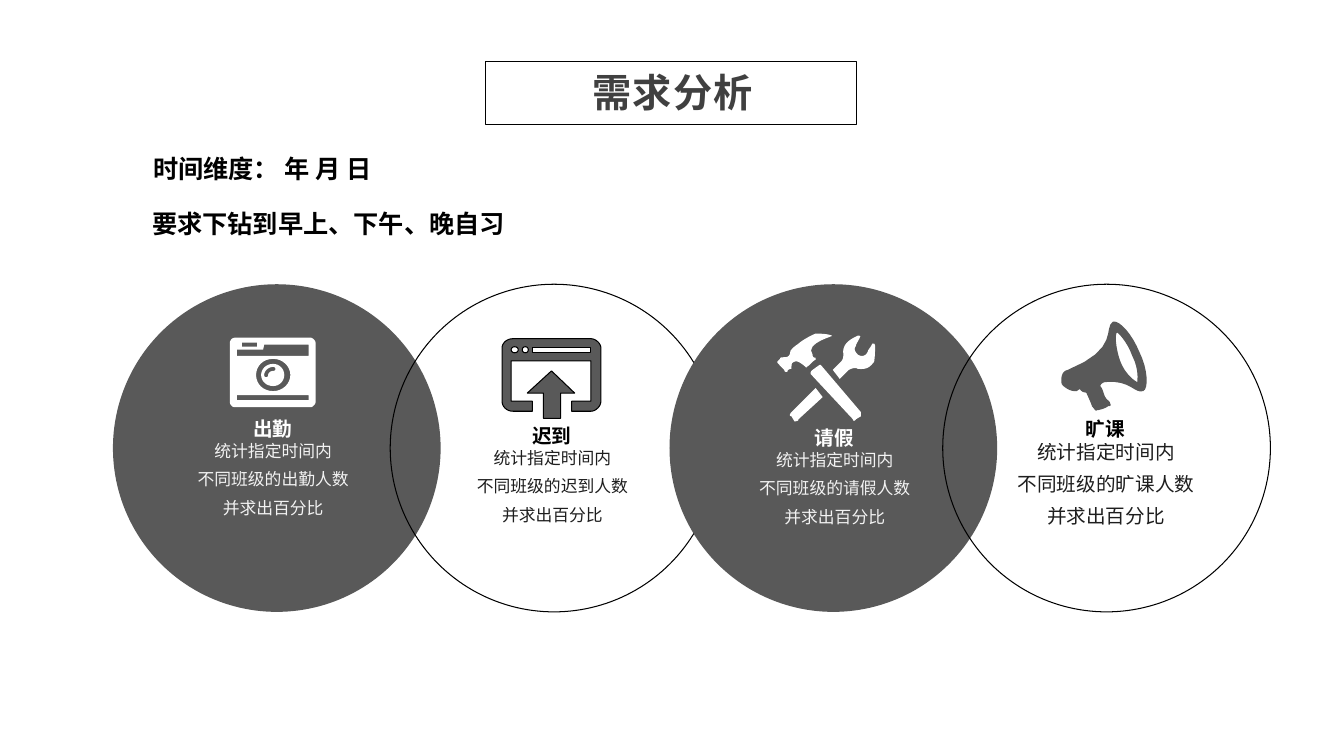
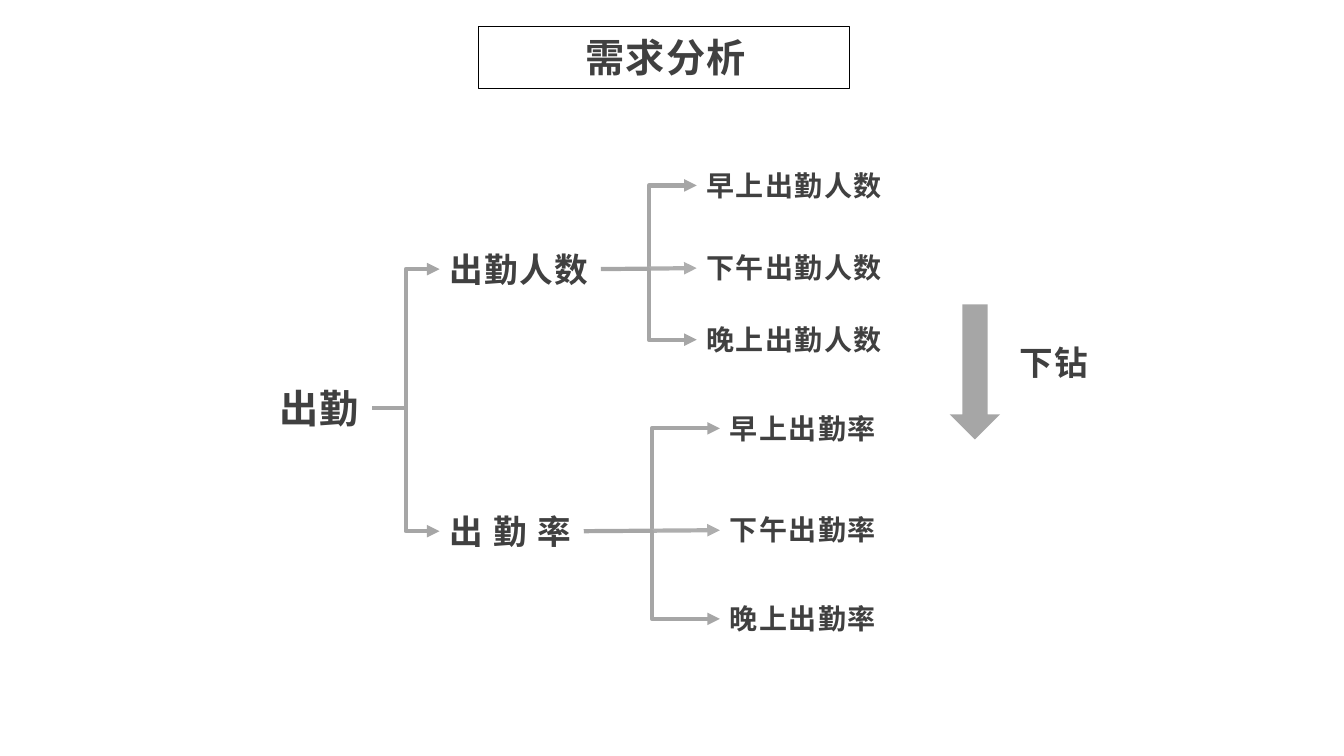
from lxml import etree
from pptx import Presentation
from pptx.dml.color import RGBColor
from pptx.enum.shapes import MSO_CONNECTOR, MSO_SHAPE
from pptx.enum.text import MSO_AUTO_SIZE, PP_ALIGN
from pptx.oxml.ns import qn
from pptx.util import Pt

PX = 9144  # 100 px to the inch
COLORS = {
    "title": "404040",
    "dark": "595959",
    "white": "FFFFFF",
    "black": "000000",
    "body": "0D0D0D",
    "branch": "A6A6A6",
    "middle_branch": "AEAEAE",
}
RGB = {name: RGBColor.from_string(value) for name, value in COLORS.items()}
LATIN, CJK = "Calibri", "Noto Sans CJK SC"
CENTER, LEFT = PP_ALIGN.CENTER, PP_ALIGN.LEFT
RECTANGLE, OVAL, DOWN_ARROW = MSO_SHAPE.RECTANGLE, MSO_SHAPE.OVAL, MSO_SHAPE.DOWN_ARROW
ELBOW, STRAIGHT = MSO_CONNECTOR.ELBOW, MSO_CONNECTOR.STRAIGHT
LEFT_SIDE, RIGHT_SIDE = 1, 3

# Icon outlines: a pair is a straight step, six numbers are a Bezier step.
CAMERA = [
    [(308, 335), (310, 335, 313, 338, 313, 340), (313, 399),
     (313, 401, 310, 404, 308, 404), (233, 404), (230, 404, 228, 401, 228, 399),
     (228, 340), (228, 338, 230, 335, 233, 335)],
    [(306, 342), (262, 342), (261, 347), (235, 347), (235, 353), (306, 353)],
    [(306, 392), (235, 392), (235, 397), (306, 397)],
    [(240, 344), (255, 344), (255, 340), (240, 340)],
    [(254, 372), (254, 363, 261, 356, 271, 356), (280, 356, 288, 363, 288, 372),
     (288, 381, 280, 388, 271, 388), (261, 388, 254, 381, 254, 372)],
    [(259, 372), (259, 366, 264, 361, 271, 361), (277, 361, 282, 366, 282, 372),
     (282, 378, 277, 383, 271, 383), (264, 383, 259, 378, 259, 372)],
    [(266, 372), (266, 370, 268, 368, 271, 368), (274, 368, 274, 364, 271, 364),
     (266, 364, 262, 368, 262, 372), (262, 375, 266, 375, 266, 372)],
]
UPLOAD = [
    [(586, 336), (591, 336, 596, 341, 596, 345), (596, 398),
     (596, 403, 591, 408, 586, 408), (567, 408), (567, 398), (586, 398),
     (586, 358), (507, 358), (507, 398), (528, 398), (528, 408), (509, 408),
     (502, 408, 498, 403, 498, 398), (498, 345), (498, 341, 502, 336, 509, 336)],
    [(507, 347), (507, 343, 514, 343, 514, 347), (514, 351, 507, 351, 507, 347)],
    [(518, 347), (518, 343, 524, 343, 524, 347), (524, 351, 518, 351, 518, 347)],
    [(528, 345), (586, 345), (586, 350), (528, 350)],
    [(547, 368), (523, 390), (539, 390), (539, 415), (556, 415), (556, 390), (570, 390)],
]
TOOLS = [
    [(786, 360), (790, 357, 793, 359, 799, 364), (800, 366, 800, 364, 800, 364),
     (802, 364, 807, 357, 809, 357), (809, 355), (807, 355, 806, 354, 806, 352),
     (797, 340, 830, 333, 825, 333), (821, 331, 811, 331, 809, 331),
     (804, 333, 795, 338, 792, 341), (786, 345, 785, 347, 785, 347),
     (783, 348, 785, 352, 781, 354), (778, 355, 776, 354, 774, 355),
     (774, 357, 772, 357, 771, 359), (771, 360), (778, 367),
     (778, 369, 779, 369, 781, 369), (781, 367, 783, 366, 785, 366),
     (785, 366, 785, 360, 786, 360)],
    [(814, 362), (813, 362), (806, 367), (804, 369, 804, 369, 804, 371), (846, 416),
     (846, 418, 848, 418, 849, 416), (854, 413), (854, 411, 854, 409, 854, 409)],
    [(868, 343), (867, 340, 867, 341, 865, 341), (865, 343, 861, 347, 861, 348),
     (860, 352, 856, 355, 851, 352), (846, 347, 848, 345, 849, 343),
     (849, 341, 853, 336, 853, 334), (854, 334, 853, 333, 851, 333),
     (849, 334, 839, 338, 837, 345), (835, 350, 839, 355, 833, 360), (826, 367),
     (833, 376), (842, 367), (844, 366, 848, 364, 851, 366),
     (860, 367, 863, 364, 867, 359), (868, 354, 868, 345, 868, 343)],
    [(785, 409), (783, 411, 783, 413, 785, 413), (788, 418),
     (790, 418, 792, 418, 792, 416), (816, 394), (809, 385)],
]
MEGAPHONE = [
    [(1130, 349), (1123, 332, 1111, 318, 1104, 319), (1094, 325, 1111, 346, 1059, 367),
     (1053, 368, 1052, 375, 1053, 381), (1055, 384, 1062, 389, 1068, 388), (1071, 386),
     (1074, 391, 1078, 388, 1078, 391), (1080, 395, 1083, 402, 1083, 403),
     (1085, 405, 1087, 409, 1088, 407), (1090, 407, 1097, 405, 1099, 403),
     (1102, 403, 1102, 402, 1101, 400), (1101, 398, 1097, 396, 1097, 395),
     (1095, 393, 1094, 386, 1092, 384), (1090, 382, 1094, 379, 1097, 379),
     (1122, 377, 1125, 391, 1134, 388), (1139, 386, 1139, 367, 1130, 349)],
    [(1128, 379), (1127, 379, 1116, 372, 1111, 358), (1106, 344, 1106, 330, 1108, 330),
     (1109, 330, 1118, 339, 1123, 353), (1130, 367, 1128, 377, 1128, 379)],
]


def add_text(slide, lines, box, size, color, bold=True, align=LEFT, wrap=True,
             spacing=0, after=0, line_spacing=None, opacity=100, font=LATIN):
    """Add a text box with one paragraph per line; spacing is in points."""
    shape = slide.shapes.add_textbox(*(value * PX for value in box))
    frame = shape.text_frame
    frame.auto_size = MSO_AUTO_SIZE.NONE
    frame.word_wrap = wrap
    frame.text = "\n".join(lines)
    for paragraph in frame.paragraphs:
        paragraph.alignment = align
        paragraph.space_after = Pt(after)
        if line_spacing:
            paragraph.line_spacing = line_spacing
        paragraph.font.size = Pt(size)
        paragraph.font.bold = bold
        paragraph.font.color.rgb = RGB[color]
        paragraph.font.name = font
        properties = paragraph._p.pPr.find(qn("a:defRPr"))
        properties.set("spc", str(spacing * 100))
        etree.SubElement(properties, qn("a:ea")).set("typeface", CJK)
        if opacity < 100:
            tint = properties.find(".//" + qn("a:srgbClr"))
            etree.SubElement(tint, qn("a:alpha")).set("val", str(opacity * 1000))
    return shape


def draw_icon(slide, outlines, color, outlined):
    """Draw closed outlines as one shape, with Bezier steps cut into short lines."""
    builder = None
    for start, *steps in outlines:
        points = [start]
        for step in steps:
            if len(step) == 2:
                points.append(step)
                continue
            curve = [points[-1], step[:2], step[2:4], step[4:]]
            for t in (n / 8 for n in range(1, 9)):
                weights = ((1 - t) ** 3, 3 * t * (1 - t) ** 2, 3 * t * t * (1 - t), t ** 3)
                points.append(tuple(sum(w * p[axis] for w, p in zip(weights, curve))
                                    for axis in (0, 1)))
        scaled = [(round(x * PX), round(y * PX)) for x, y in points]
        if builder is None:
            builder = slide.shapes.build_freeform(*scaled[0], scale=1.0)
        else:
            builder.move_to(*scaled[0])
        builder.add_line_segments(scaled[1:], close=True)
    icon = builder.convert_to_shape()
    icon.shadow.inherit = False
    icon.fill.solid()
    icon.fill.fore_color.rgb = RGB[color]
    if outlined:
        icon.line.color.rgb = RGB["black"]
        icon.line.width = Pt(0.75)
    else:
        icon.line.fill.background()


prs = Presentation()
prs.slide_width, prs.slide_height = 1333 * PX, 750 * PX

# Both slides carry the same framed title
slides = []
for left, top in [(481, 61), (474, 26)]:
    slide = prs.slides.add_slide(prs.slide_layouts[6])
    add_text(slide, ["需求分析"], (left, top + 7, 372, 53), 28, "title", align=CENTER,
             spacing=1, line_spacing=0.9, font=CJK)
    frame = slide.shapes.add_shape(RECTANGLE, left * PX, top * PX, 368 * PX, 62 * PX)
    frame.shadow.inherit = False
    frame.fill.background()
    frame.line.color.rgb = RGB["black"]
    frame.line.width = Pt(0.25)
    slides.append(slide)
measures, drilldown = slides

# Slide 1: four measures
add_text(measures, ["时间维度： 年 月 日"], (142, 147, 263, 40), 18, "black")
add_text(measures, ["要求下钻到早上、下午、晚自习"], (141, 202, 379, 40), 18, "black")
for heading, circle_left, filled, icon, left, top, height, size in [
    ("出勤", 112, True, CAMERA, 164, 432, 87, 12),
    ("迟到", 387, False, UPLOAD, 441, 439, 87, 12),
    ("请假", 664, True, TOOLS, 721, 441, 87, 12),
    ("旷课", 935, False, MEGAPHONE, 990, 432, 130, 14),
]:
    circle = measures.shapes.add_shape(OVAL, circle_left * PX, 282 * PX, 325 * PX, 325 * PX)
    circle.shadow.inherit = False
    if filled:
        circle.fill.solid()
        circle.fill.fore_color.rgb = RGB["dark"]
        circle.line.fill.background()
    else:
        circle.fill.background()
        circle.line.color.rgb = RGB["black"]
        circle.line.width = Pt(0.75)
    draw_icon(measures, icon, "white" if filled else "dark", outlined=icon is UPLOAD)
    add_text(measures, ["统计指定时间内", f"不同班级的{heading}人数", "并求出百分比"],
             (left, top, 214, height), size, "white" if filled else "body",
             bold=False, align=CENTER, after=6, opacity=92)
    add_text(measures, [heading], (left + 42, top - 23, 129, 34), 14,
             "white" if filled else "black", align=CENTER)

# Slide 2: attendance tree
label = {"color": "title", "wrap": False, "spacing": 1}
root = add_text(drilldown, ["出勤"], (267, 376, 102, 57), 28, **label)
branches = []
for name, measure, top, width, leaf_left, leaf_width, leaf_tops in [
    ("出勤人数", "出勤人数", 242, 160, 691, 197, (162, 244, 315)),
    ("出 勤 率", "出勤率", 502, 143, 714, 167, (403, 504, 592)),
]:
    node = add_text(drilldown, [name], (436, top, width, 50), 24, **label)
    branches.append((root, node, ELBOW, "branch"))
    for period, leaf_top in zip(("早上", "下午", "晚上"), leaf_tops):
        leaf = add_text(drilldown, [period + measure],
                        (leaf_left, leaf_top, leaf_width, 44), 20, **label)
        if period == "下午":
            branches.append((node, leaf, STRAIGHT, "middle_branch"))
        else:
            branches.append((node, leaf, ELBOW, "branch"))

for parent, child, kind, color in branches:
    branch = drilldown.shapes.add_connector(
        kind, parent.left + parent.width, parent.top + parent.height // 2,
        child.left, child.top + child.height // 2)
    branch.begin_connect(parent, RIGHT_SIDE)
    branch.end_connect(child, LEFT_SIDE)
    branch.line.color.rgb = RGB[color]
    branch.line.width = Pt(3)
    etree.SubElement(branch.line._get_or_add_ln(), qn("a:tailEnd")).set("type", "triangle")
    etree.SubElement(branch._element.spPr, qn("a:effectLst"))

drill_arrow = drilldown.shapes.add_shape(DOWN_ARROW, 942 * PX, 302 * PX, 50 * PX, 134 * PX)
drill_arrow.shadow.inherit = False
drill_arrow.fill.solid()
drill_arrow.fill.fore_color.rgb = RGB["branch"]
drill_arrow.line.fill.background()
add_text(drilldown, ["下钻"], (1001, 334, 90, 50), 24, **label)

prs.save("out.pptx")
